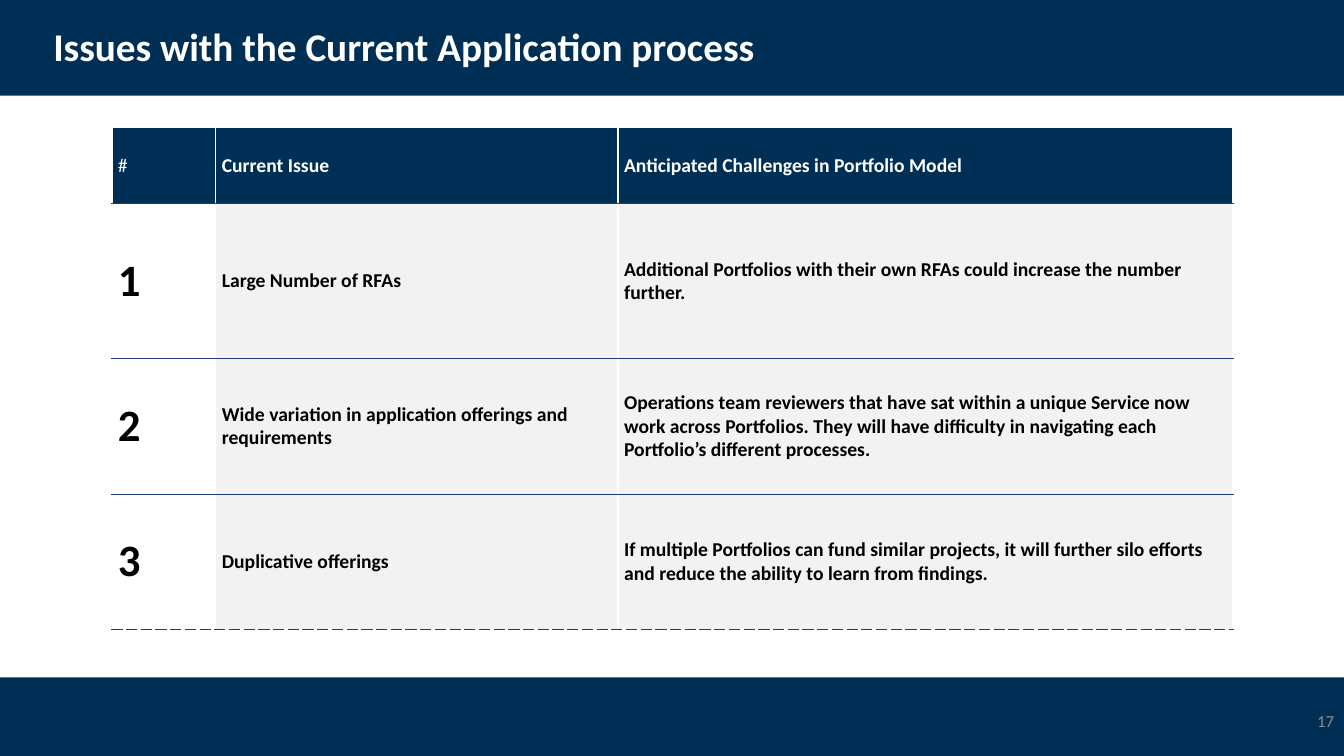
from dataclasses import dataclass

from lxml import etree
from pptx import Presentation
from pptx.dml.color import RGBColor
from pptx.enum.shapes import MSO_SHAPE
from pptx.enum.text import MSO_ANCHOR, PP_ALIGN
from pptx.oxml.ns import qn
from pptx.util import Emu, Inches, Pt

RECT = MSO_SHAPE.RECTANGLE
MIDDLE = MSO_ANCHOR.MIDDLE
LEFT, RIGHT = PP_ALIGN.LEFT, PP_ALIGN.RIGHT
SLIDE_W, SLIDE_H = Inches(13.33), Inches(7.5)
FONT = "Calibri"
COLORS = {
    "navy": "002F56",
    "rule": "1D3D78",
    "white": "FFFFFF",
    "pale": "F2F2F2",
    "black": "000000",
    "gray": "8C8C8C",
}


@dataclass(frozen=True)
class Box:
    """Place on the slide, in percent of its width and height."""
    x: float
    y: float
    w: float
    h: float

    def emu(self) -> tuple[Emu, Emu, Emu, Emu]:
        return (Emu(int(SLIDE_W * self.x / 100)), Emu(int(SLIDE_H * self.y / 100)),
                Emu(int(SLIDE_W * self.w / 100)), Emu(int(SLIDE_H * self.h / 100)))


@dataclass(frozen=True)
class Style:
    size: float
    color: str
    bold: bool = True
    align: PP_ALIGN = LEFT
    spacing: float = 1.0


@dataclass(frozen=True)
class Label:
    text: str
    box: Box
    style: Style


@dataclass(frozen=True)
class Border:
    side: str
    color: str
    width: float
    dash: str = "solid"


BANDS = [Box(0, 0, 100, 12.67), Box(0, 89.6, 100, 10.4)]
LABELS = [
    Label("Issues with the Current Application process",
          Box(3.23, 1.47, 86.27, 9.87), Style(28, "white", spacing=0.9)),
    Label("17", Box(77.5, 92.67, 22.5, 5.33),
          Style(12, "gray", bold=False, align=RIGHT)),
]
TABLE = Box(8.33, 16.8, 83.42, 66.4)
COLUMNS = [1.03, 3.99, 6.1]  # relative widths
ROWS = [0.76, 1.54, 1.34, 1.34]  # relative heights
ISSUES = [
    ("#", "Current Issue", "Anticipated Challenges in Portfolio Model"),
    ("1", "Large Number of RFAs",
     "Additional Portfolios with their own RFAs could increase the number further."),
    ("2", "Wide variation in application offerings and requirements",
     "Operations team reviewers that have sat within a unique Service now work across "
     "Portfolios. They will have difficulty in navigating each Portfolio’s different "
     "processes."),
    ("3", "Duplicative offerings",
     "If multiple Portfolios can fund similar projects, it will further silo efforts "
     "and reduce the ability to learn from findings."),
]


def rgb(name: str) -> RGBColor:
    return RGBColor.from_string(COLORS[name])


def write(tf, text: str, style: Style) -> None:
    tf.text = text
    tf.word_wrap = True
    p = tf.paragraphs[0]
    p.alignment = style.align
    p.line_spacing = style.spacing
    font = p.runs[0].font
    font.name, font.size, font.bold = FONT, Pt(style.size), style.bold
    font.color.rgb = rgb(style.color)


def add_band(slide, box: Box) -> None:
    sp = slide.shapes.add_shape(RECT, *box.emu())
    sp.shadow.inherit = False
    sp.fill.solid()
    sp.fill.fore_color.rgb = rgb("navy")
    sp.line.fill.background()


def add_label(slide, label: Label) -> None:
    tf = slide.shapes.add_textbox(*label.box.emu()).text_frame
    write(tf, label.text, label.style)
    tf.vertical_anchor = MIDDLE


def set_borders(cell, borders: list[Border]) -> None:
    tc_pr = cell._tc.get_or_add_tcPr()
    for i, border in enumerate(borders):
        ln = etree.Element(qn(f"a:ln{border.side}"), w=str(Pt(border.width)))
        fill = etree.SubElement(ln, qn("a:solidFill"))
        etree.SubElement(fill, qn("a:srgbClr"), val=COLORS[border.color])
        etree.SubElement(ln, qn("a:prstDash"), val=border.dash)
        tc_pr.insert(i, ln)


def cell_look(row: int, col: int) -> tuple[str, Style]:
    if row == 0:
        return "navy", Style(14, "white", bold=col > 0)
    if col == 0:
        return "white", Style(32, "black")
    return "pale", Style(14, "black")


def add_issue_table(slide) -> None:
    x, y, w, h = TABLE.emu()
    table = slide.shapes.add_table(len(ROWS), len(COLUMNS), x, y, w, h).table
    table.first_row = table.horz_banding = False
    for column, share in zip(table.columns, COLUMNS):
        column.width = Emu(int(w * share / sum(COLUMNS)))
    for row, share in zip(table.rows, ROWS):
        row.height = Emu(int(h * share / sum(ROWS)))

    for i, texts in enumerate(ISSUES):
        top = Border("T", "rule", 0.5) if i else Border("T", "white", 1)
        bottom = Border("B", "rule", 0.5, "dash" if i == len(ROWS) - 1 else "solid")
        for j, text in enumerate(texts):
            cell = table.cell(i, j)
            fill, style = cell_look(i, j)
            write(cell.text_frame, text, style)
            cell.vertical_anchor = MIDDLE
            cell.margin_left = cell.margin_right = Inches(0.06)
            cell.margin_top = cell.margin_bottom = Inches(0.03)
            cell.fill.solid()
            cell.fill.fore_color.rgb = rgb(fill)
            set_borders(cell, [Border("L", "white", 1), Border("R", "white", 1),
                               top, bottom])


def main() -> None:
    prs = Presentation()
    prs.slide_width, prs.slide_height = SLIDE_W, SLIDE_H
    slide = prs.slides.add_slide(prs.slide_layouts[6])

    # Header and footer bands
    for band in BANDS:
        add_band(slide, band)

    # Title and page number
    for label in LABELS:
        add_label(slide, label)

    # Issues and challenges
    add_issue_table(slide)

    prs.save("out.pptx")


if __name__ == "__main__":
    main()
